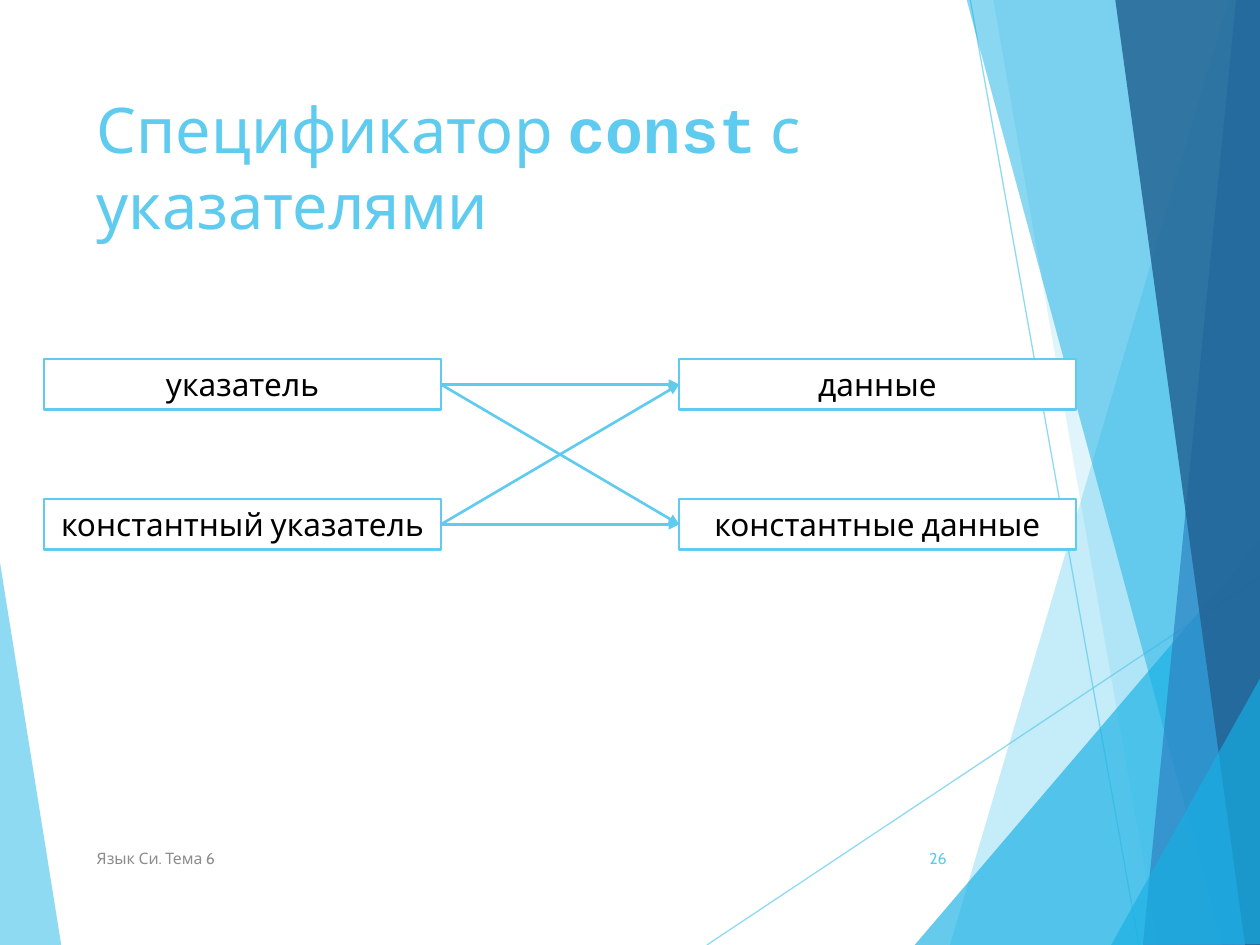
from itertools import product

from lxml import etree
from pptx import Presentation
from pptx.dml.color import RGBColor
from pptx.enum import shapes, text
from pptx.oxml import ns
from pptx.util import Cm, Pt

COLORS = {
    "sky": "5FCBEF",
    "cyan": "17B0E4",
    "blue": "2E83C3",
    "navy": "226292",
    "white": "FFFFFF",
    "black": "000000",
    "gray": "8C8C8C",
}
FONT = "Cabin"
CODE_FONT = "Courier New"
LEFT, CENTER, RIGHT = (
    text.PP_ALIGN.LEFT, text.PP_ALIGN.CENTER, text.PP_ALIGN.RIGHT
)
TOP, MIDDLE = text.MSO_ANCHOR.TOP, text.MSO_ANCHOR.MIDDLE
RIGHT_SIDE, LEFT_SIDE = 3, 1

LEFT_FACET = ("sky", 70, [(-0.03, 11.15), (1.24, 19.08), (-0.03, 19.05)])
RAYS = [
    ((14.25, 19.05), (25.43, 11.61)),
    ((19.56, 0), (22.96, 19.05)),
]
RIGHT_FACETS = [
    ("sky", 36, [(24.77, 0), (19.15, 19.05), (25.45, 19.08), (25.43, 0.03)]),
    ("sky", 20, [(20.02, -0.03), (23.34, 19.05), (25.43, 19.05), (25.43, -0.03)]),
    ("cyan", 66, [(18.44, 19.05), (25.4, 10.9), (25.43, 19.05)]),
    ("cyan", 50, [(19.48, -0.03), (24.64, 19.05), (25.43, 19.02), (25.43, -0.03)]),
    ("blue", 70, [(24.92, -0.03), (23.04, 19.05), (25.43, 19.05), (25.4, -0.03)]),
    ("navy", 82, [(22.48, -0.03), (25.1, 19.05), (25.45, 19.05), (25.4, -0.03)]),
    ("cyan", 66, [(22.4, 19.05), (25.45, 13.59), (25.45, 19.03)]),
]

POINTER_LEFT, DATA_LEFT = 0.89, 13.69
ROW_TOPS = (7.24, 10.06)
BOX_SIZE = (8, 1.02)
POINTERS = ("указатель", "константный указатель")
DATA = ("данные", "константные данные")


class SlideBuilder:
    def __init__(self, slide):
        self.slide = slide

    def color(self, name):
        return RGBColor.from_string(COLORS[name])

    def set_opacity(self, element, percent):
        for color in element.iter(ns.qn("a:srgbClr")):
            alpha = etree.SubElement(color, ns.qn("a:alpha"))
            alpha.set("val", str(percent * 1000))

    def fill_text(self, shape, runs, size, color, align=LEFT, anchor=MIDDLE):
        frame = shape.text_frame
        frame.word_wrap = True
        frame.vertical_anchor = anchor
        paragraph = frame.paragraphs[0]
        paragraph.alignment = align
        for content, font_format in runs:
            run = paragraph.add_run()
            run.text = content
            values = {"name": FONT, "size": Pt(size), "bold": False, **font_format}
            for attribute, value in values.items():
                setattr(run.font, attribute, value)
            run.font.color.rgb = self.color(color)

    def label(self, place, runs, size, color, **layout):
        shape = self.slide.shapes.add_textbox(*map(Cm, place))
        self.fill_text(shape, runs, size, color, **layout)

    def box(self, left, top, content):
        shape = self.slide.shapes.add_shape(
            shapes.MSO_SHAPE.RECTANGLE, *map(Cm, (left, top, *BOX_SIZE))
        )
        shape.shadow.inherit = False
        shape.fill.solid()
        shape.fill.fore_color.rgb = self.color("white")
        shape.line.color.rgb = self.color("sky")
        shape.line.width = Pt(1.5)
        self.fill_text(shape, [(content, {})], 18, "black", align=CENTER)
        return shape

    def facet(self, color, opacity, points):
        start, *rest = [(Cm(x), Cm(y)) for x, y in points]
        builder = self.slide.shapes.build_freeform(*start)
        builder.add_line_segments(rest, close=True)
        shape = builder.convert_to_shape()
        shape.shadow.inherit = False
        shape.fill.solid()
        shape.fill.fore_color.rgb = self.color(color)
        shape.line.fill.background()
        self.set_opacity(shape.element.spPr, opacity)

    def line(self, start, end, width):
        connector = self.slide.shapes.add_connector(
            shapes.MSO_CONNECTOR.STRAIGHT, *map(Cm, (*start, *end))
        )
        connector.line.color.rgb = self.color("sky")
        connector.line.width = Pt(width)
        etree.SubElement(connector.element.spPr, ns.qn("a:effectLst"))
        return connector

    def ray(self, start, end):
        connector = self.line(start, end, 0.75)
        self.set_opacity(connector.element.spPr, 70)

    def arrow(self, source, target):
        connector = self.line((0, 0), (0, 0), 1.5)
        connector.begin_connect(source, RIGHT_SIDE)
        connector.end_connect(target, LEFT_SIDE)
        outline = connector.element.spPr.find(ns.qn("a:ln"))
        etree.SubElement(outline, ns.qn("a:tailEnd")).set("type", "triangle")


def main():
    presentation = Presentation()
    presentation.slide_width = Cm(25.4)
    presentation.slide_height = Cm(19.05)
    slide = presentation.slides.add_slide(presentation.slide_layouts[6])
    builder = SlideBuilder(slide)

    builder.facet(*LEFT_FACET)
    for start, end in RAYS:
        builder.ray(start, end)
    for facet in RIGHT_FACETS:
        builder.facet(*facet)

    title = [
        ("Спецификатор ", {}),
        ("const", {"name": CODE_FONT, "bold": True}),
        (" с указателями", {}),
    ]
    builder.label((1.7, 1.7, 17.63, 3.66), title, 36, "sky", anchor=TOP)
    builder.label((1.7, 16.79, 12.85, 1.02), [("Язык Си. Тема 6", {})], 9, "gray")
    builder.label((17.91, 16.79, 1.42, 1.02), [("26", {})], 9, "sky", align=RIGHT)

    pointers = [builder.box(POINTER_LEFT, *row) for row in zip(ROW_TOPS, POINTERS)]
    data = [builder.box(DATA_LEFT, *row) for row in zip(ROW_TOPS, DATA)]
    for source, target in product(pointers, data):
        builder.arrow(source, target)

    presentation.save("out.pptx")


if __name__ == "__main__":
    main()
